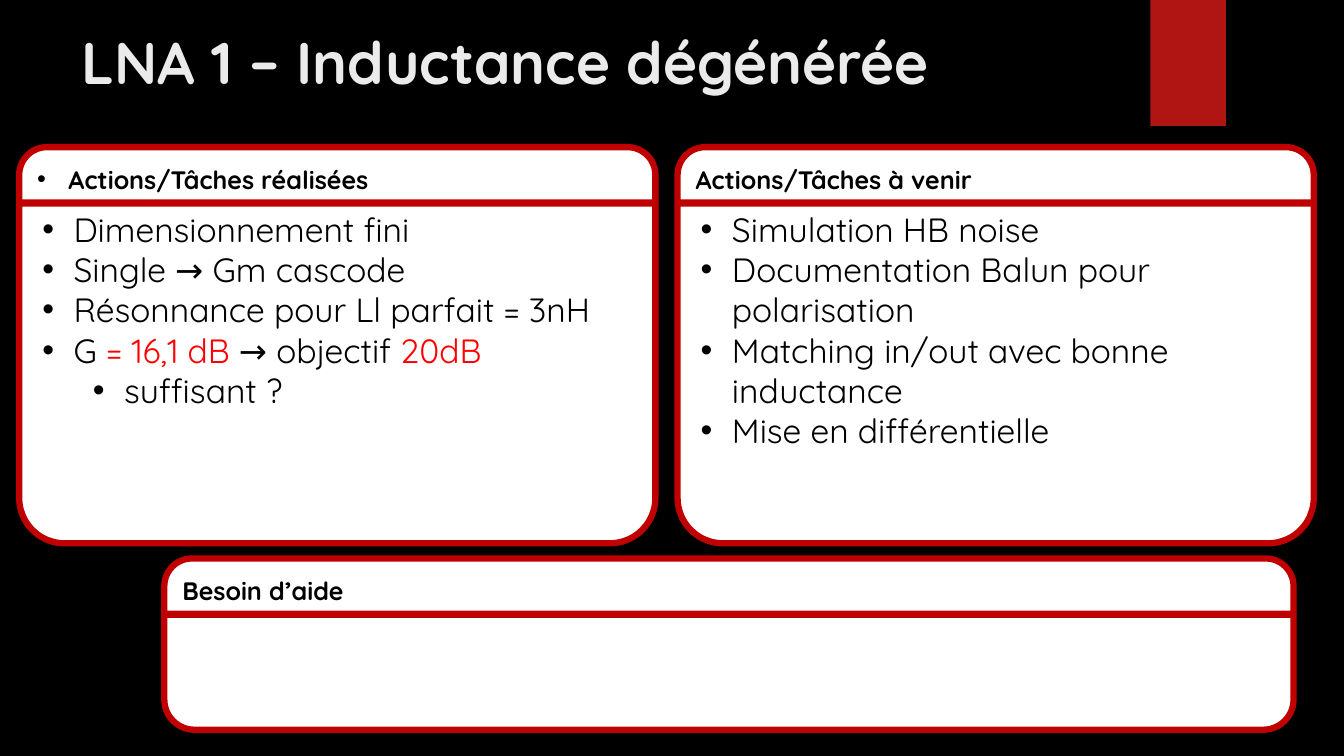
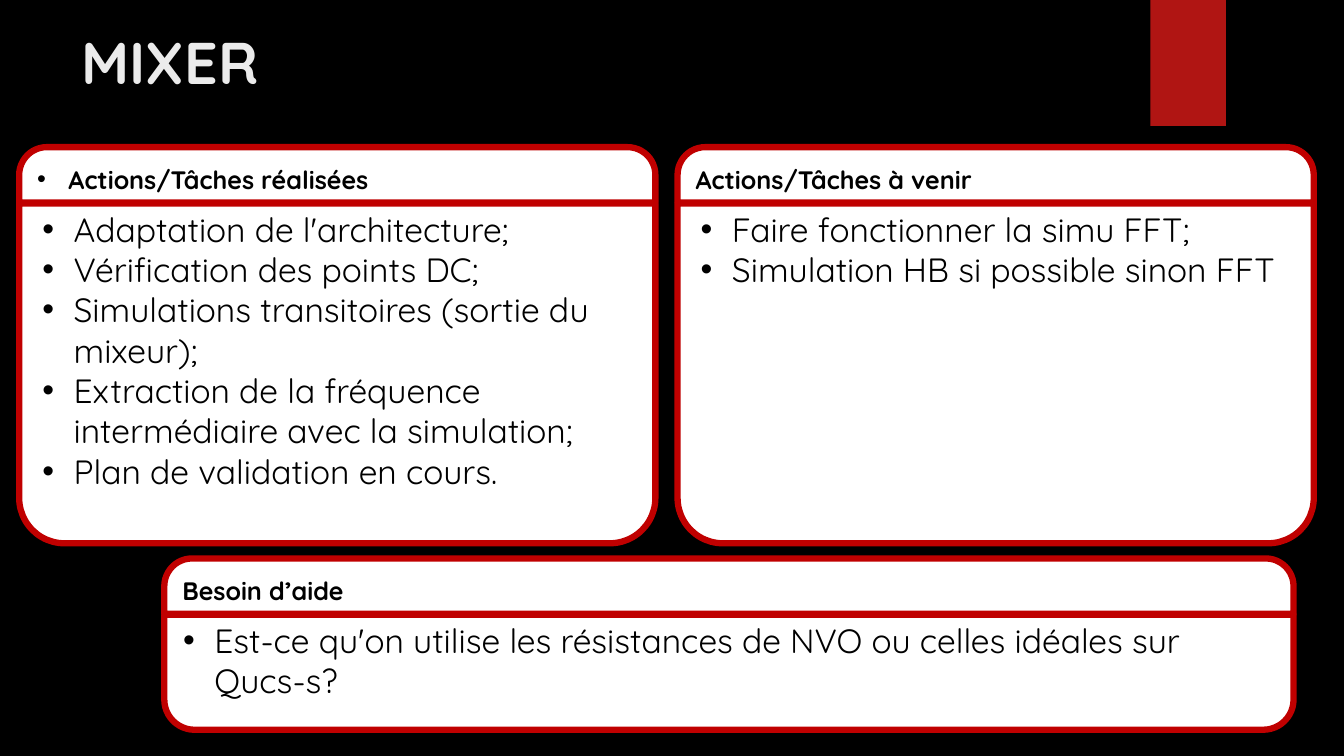
import pptx
import pptx.dml.color
import pptx.enum.shapes
import pptx.enum.text
import pptx.util
from lxml import etree

FONT = "Quicksand"
BLACK, WHITE, TITLE_GREY = "000000", "FFFFFF", "EBEBEB"
BAND_RED, BORDER_RED, ALERT_RED = "B01513", "C00000", "FF0000"
SLIDE_WIDTH, SLIDE_HEIGHT = 13.33, 7.5
MARGIN, PANEL_WIDTH, PANEL_GAP = 0.19, 6.31, 0.22
HEADER_HEIGHT, BODY_OFFSET = 0.55, 0.56
INDENT, LEVEL_STEP = 0.31, 0.5

DONE_BOX = (MARGIN, 1.46, PANEL_WIDTH, 3.93)
NEXT_BOX = (MARGIN + PANEL_WIDTH + PANEL_GAP, 1.46, PANEL_WIDTH, 3.93)
HELP_BOX = (1.63, 5.54, 11.2, 1.7)

REPORTS = [
    {
        "title": "LNA 1 – Inductance dégénérée",
        "done": [
            (0, [("Dimensionnement fini", BLACK)]),
            (0, [("Single → Gm cascode", BLACK)]),
            (0, [("Résonnance pour Ll parfait = 3nH", BLACK)]),
            (0, [("G ", BLACK), ("= 16,1 dB ", ALERT_RED),
                 ("→ objectif ", BLACK), ("20dB", ALERT_RED)]),
            (1, [("suffisant ?", BLACK)]),
        ],
        "next": [
            (0, [("Simulation HB noise", BLACK)]),
            (0, [("Documentation Balun pour polarisation", BLACK)]),
            (0, [("Matching in/out avec bonne inductance", BLACK)]),
            (0, [("Mise en différentielle", BLACK)]),
        ],
        "help": [],
    },
    {
        "title": "MIXER",
        "done": [
            (0, [("Adaptation de l'architecture;", BLACK)]),
            (0, [("Vérification des points DC;", BLACK)]),
            (0, [("Simulations transitoires (sortie du mixeur);", BLACK)]),
            (0, [("Extraction de la fréquence intermédiaire avec la simulation;", BLACK)]),
            (0, [("Plan de validation en cours.", BLACK)]),
        ],
        "next": [
            (0, [("Faire fonctionner la simu FFT;", BLACK)]),
            (0, [("Simulation HB si possible sinon FFT", BLACK)]),
        ],
        "help": [
            (0, [("Est-ce qu'on utilise les résistances de NVO ou celles idéales sur Qucs-s?", BLACK)]),
        ],
    },
]


def rgb(hex_code):
    """Return the colour for a hex string."""
    return pptx.dml.color.RGBColor.from_string(hex_code)


def inches(*lengths):
    """Convert lengths in inches to slide units."""
    return [pptx.util.Inches(length) for length in lengths]


def add_bullet(paragraph, level):
    """Give a paragraph a round bullet with a hanging indent."""
    paragraph.level = level
    properties = paragraph._p.get_or_add_pPr()
    properties.set("marL", str(pptx.util.Inches(INDENT + level * LEVEL_STEP)))
    properties.set("indent", str(-pptx.util.Inches(INDENT)))
    for tag, attribute, value in (("buFont", "typeface", "Arial"), ("buChar", "char", "•")):
        mark = etree.SubElement(properties, pptx.oxml.ns.qn("a:" + tag))
        mark.set(attribute, value)


def write_paragraph(paragraph, runs, size, bold=False, level=None):
    """Write coloured runs, bulleted when a level is given."""
    paragraph.alignment = pptx.enum.text.PP_ALIGN.LEFT
    if level is not None:
        add_bullet(paragraph, level)
    for text, colour in runs:
        run = paragraph.add_run()
        run.text = text
        run.font.name = FONT
        run.font.size = pptx.util.Pt(size)
        run.font.bold = bold
        run.font.color.rgb = rgb(colour)


def add_half_rounded(slide, box, top_radius, bottom_radius):
    """Add a white, red-edged box with its own top and bottom corner radii."""
    shape = slide.shapes.add_shape(
        pptx.enum.shapes.MSO_SHAPE.ROUND_2_SAME_RECTANGLE, *inches(*box))
    shortest = min(box[2:])
    shape.adjustments[0] = top_radius / shortest
    shape.adjustments[1] = bottom_radius / shortest
    shape.shadow.inherit = False
    shape.fill.solid()
    shape.fill.fore_color.rgb = rgb(WHITE)
    shape.line.color.rgb = rgb(BORDER_RED)
    shape.line.width = pptx.util.Pt(4.5)
    shape.text_frame.word_wrap = True
    return shape.text_frame


def add_panel(slide, box, heading, items, bottom_radius, heading_level=None):
    """Add a heading strip and the list box under it."""
    left, top, width, height = box
    header = add_half_rounded(
        slide, (left, top, width, HEADER_HEIGHT), HEADER_HEIGHT / 2, 0)
    header.vertical_anchor = pptx.enum.text.MSO_ANCHOR.MIDDLE
    write_paragraph(header.paragraphs[0], [(heading, BLACK)], 18, True, heading_level)
    body = add_half_rounded(
        slide, (left, top + BODY_OFFSET, width, height - BODY_OFFSET), 0, bottom_radius)
    body.vertical_anchor = pptx.enum.text.MSO_ANCHOR.TOP
    for index, (level, runs) in enumerate(items):
        paragraph = body.add_paragraph() if index else body.paragraphs[0]
        write_paragraph(paragraph, runs, 24, level=level)


def add_title_area(slide, title):
    """Add the red band and the slide title."""
    band = slide.shapes.add_shape(
        pptx.enum.shapes.MSO_SHAPE.RECTANGLE, *inches(11.41, 0, 0.75, 1.25))
    band.shadow.inherit = False
    band.fill.solid()
    band.fill.fore_color.rgb = rgb(BAND_RED)
    band.line.fill.background()
    heading = slide.shapes.add_textbox(*inches(0.71, 0.21, 10.29, 1.53)).text_frame
    heading.word_wrap = True
    write_paragraph(heading.paragraphs[0], [(title, TITLE_GREY)], 42, True)


def add_report(presentation, report):
    """Add one progress slide: title, done, next and help panels."""
    slide = presentation.slides.add_slide(presentation.slide_layouts[6])
    add_title_area(slide, report["title"])
    add_panel(slide, HELP_BOX, "Besoin d’aide", report["help"], 0.3)
    add_panel(slide, DONE_BOX, "Actions/Tâches réalisées", report["done"], 0.45, 0)
    add_panel(slide, NEXT_BOX, "Actions/Tâches à venir", report["next"], 0.45)


def main():
    """Build and save the presentation."""
    presentation = pptx.Presentation()
    presentation.slide_width, presentation.slide_height = inches(SLIDE_WIDTH, SLIDE_HEIGHT)
    background = presentation.slide_master.background.fill
    background.solid()
    background.fore_color.rgb = rgb(BLACK)
    for report in REPORTS:
        add_report(presentation, report)
    presentation.save("out.pptx")


if __name__ == "__main__":
    main()
